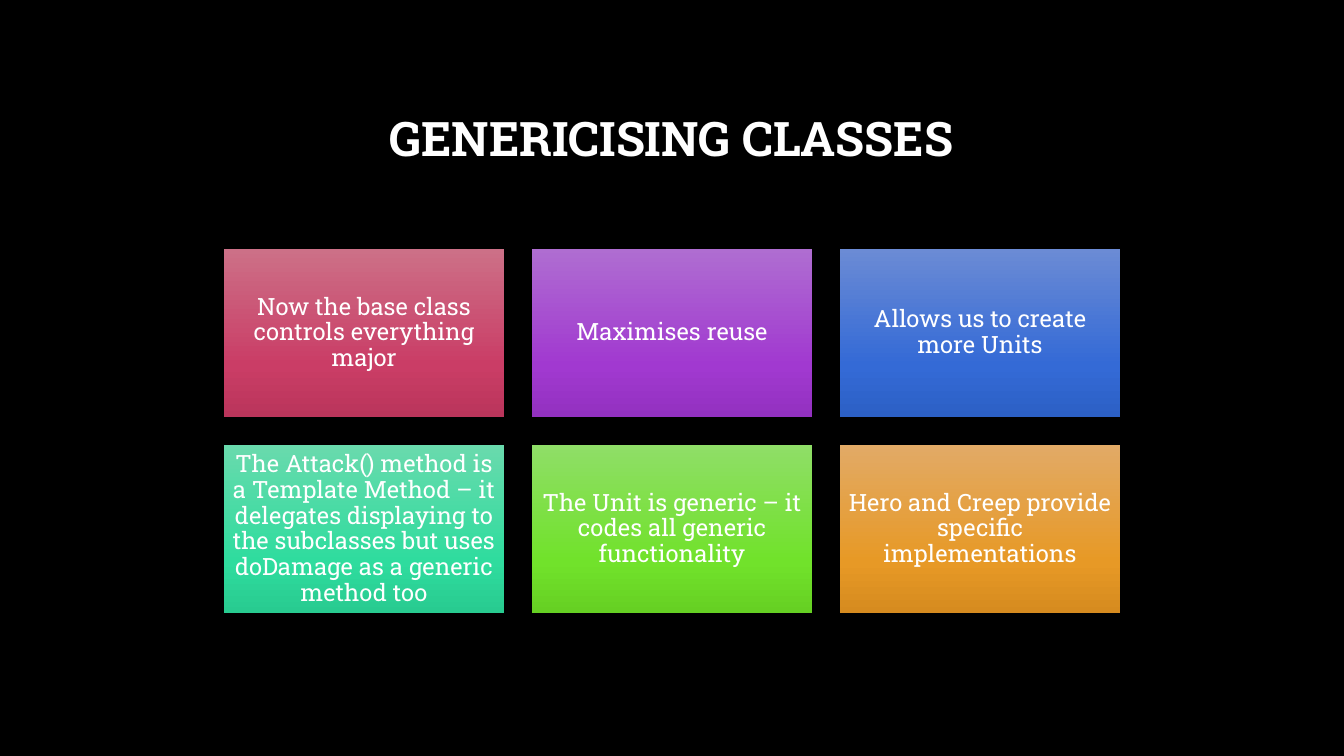
from copy import deepcopy

from pptx import Presentation
from pptx.dml.color import RGBColor
from pptx.enum import shapes, text
from pptx.oxml import ns
from pptx.util import Inches, Pt

FONT = "Roboto Slab"
COLORS = {"background": "000000", "text": "FFFFFF"}
STOPS = (0, 0.69, 1)
GRADIENTS = {
    "rose": ("CC7087", "CA3D66", "BA355B"),
    "purple": ("AF6DD1", "A139D0", "9331C0"),
    "blue": ("6B8BD5", "346AD6", "2C60C5"),
    "mint": ("69DAAD", "2FDC9E", "28CB90"),
    "green": ("8FDE67", "71E22B", "66D023"),
    "orange": ("E2AA66", "E79926", "D68B1F"),
}
POINTS = [
    ("rose", "Now the base class controls everything major"),
    ("purple", "Maximises reuse"),
    ("blue", "Allows us to create more Units"),
    ("mint", "The Attack() method is a Template Method – it delegates displaying "
             "to the subclasses but uses doDamage as a generic method too"),
    ("green", "The Unit is generic – it codes all generic functionality"),
    ("orange", "Hero and Creep provide specific implementations"),
]


def write(frame, wording, size, bold=False):
    frame.word_wrap = True
    frame.vertical_anchor = text.MSO_ANCHOR.MIDDLE
    frame.text = wording
    paragraph = frame.paragraphs[0]
    paragraph.alignment = text.PP_ALIGN.CENTER
    paragraph.line_spacing = 0.9
    font = paragraph.runs[0].font
    font.name, font.size, font.bold = FONT, Pt(size), bold
    font.color.rgb = RGBColor.from_string(COLORS["text"])


def shade(fill, colors):
    fill.gradient()
    fill.gradient_angle = 270  # counter-clockwise, so top to bottom
    stop_list = fill._xPr.find(ns.qn("a:gradFill")).find(ns.qn("a:gsLst"))
    stop_list.append(deepcopy(stop_list[-1]))
    for stop, position, color in zip(fill.gradient_stops, STOPS, colors):
        stop.position = position
        stop.color.rgb = RGBColor.from_string(color)


# Slide and background
prs = Presentation()
prs.slide_width, prs.slide_height = Inches(13.33), Inches(7.5)
slide = prs.slides.add_slide(prs.slide_layouts[6])
slide.background.fill.solid()
slide.background.fill.fore_color.rgb = RGBColor.from_string(COLORS["background"])

# Title
title = slide.shapes.add_textbox(Inches(1), Inches(0.67), Inches(11.32), Inches(1.45))
write(title.text_frame, "GENERICISING CLASSES", 34, bold=True)

# Tiles: three columns, two rows
left, top, width, height, gap = 2.22, 2.47, 2.78, 1.67, 0.275
for index, (hue, wording) in enumerate(POINTS):
    row, column = divmod(index, 3)
    tile = slide.shapes.add_shape(
        shapes.MSO_SHAPE.RECTANGLE,
        Inches(left + column * (width + gap)), Inches(top + row * (height + gap)),
        Inches(width), Inches(height))
    tile.shadow.inherit = False
    tile.line.fill.background()
    shade(tile.fill, GRADIENTS[hue])
    frame = tile.text_frame
    frame.margin_left = frame.margin_right = Inches(0.07)
    frame.margin_top = frame.margin_bottom = Inches(0.07)
    write(frame, wording, 17)

prs.save("out.pptx")
